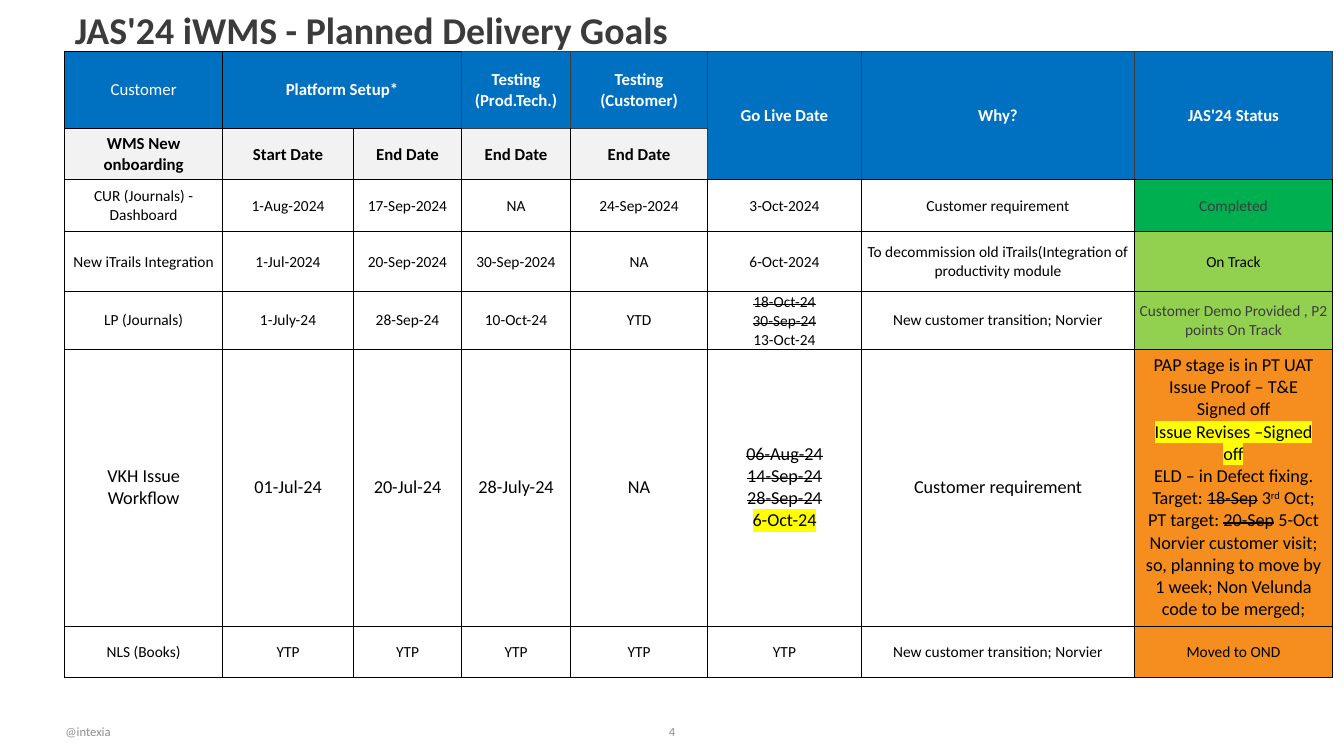
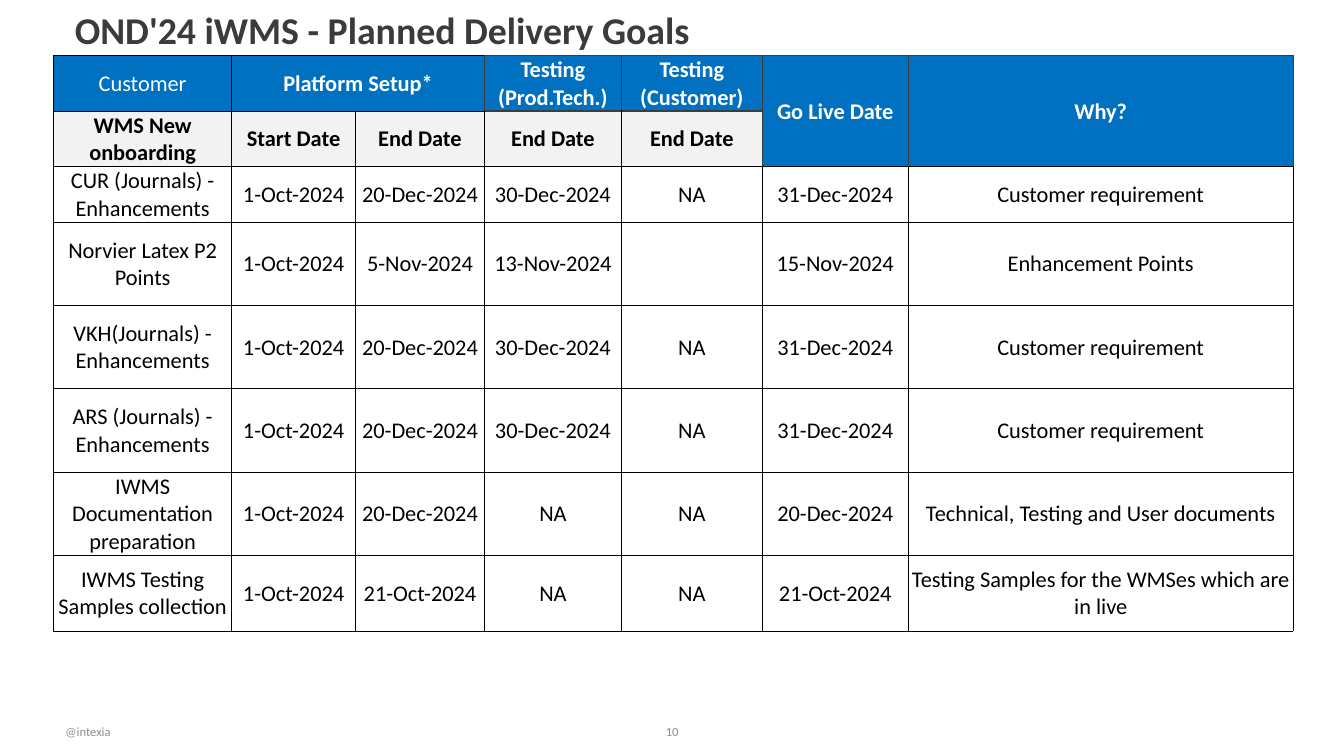
from lxml import etree
from pptx import Presentation
from pptx.dml.color import RGBColor as RGB
from pptx.enum.text import MSO_ANCHOR as Anchor, PP_ALIGN as Align
from pptx.oxml.ns import qn
from pptx.util import Cm, Pt

FONT = "Calibri"
HEX = {
    "title": "3B3B3B", "foot": "8D8E8E", "black": "000000", "white": "FFFFFF",
    "head": "0070C0", "sub": "F2F2F2", "gray": "3D3D3D", "done": "00B050",
    "track": "92D050", "late": "F68E1F", "mark": "FFFF00",
}
HEAD = ["Customer", "Platform Setup*", "", "Testing\n(Prod.Tech.)",
        "Testing\n(Customer)", "Go Live Date", "Why?"]
SUB = ["WMS New onboarding", "Start Date"] + ["End Date"] * 3

JAS_ROWS = [
    ["CUR (Journals) - Dashboard", "1-Aug-2024", "17-Sep-2024", "NA",
     "24-Sep-2024", "3-Oct-2024", "Customer requirement", "Completed"],
    ["New iTrails Integration", "1-Jul-2024", "20-Sep-2024", "30-Sep-2024",
     "NA", "6-Oct-2024",
     "To decommission old iTrails(Integration of productivity module",
     "On Track"],
    ["LP (Journals)", "1-July-24", "28-Sep-24", "10-Oct-24", "YTD",
     [[("18-Oct-24", "strike")], [("30-Sep-24", "strike")], "13-Oct-24"],
     "New customer transition; Norvier",
     "Customer Demo Provided , P2 points On Track"],
    ["VKH Issue Workflow", "01-Jul-24", "20-Jul-24", "28-July-24", "NA",
     [[("06-Aug-24", "strike")], [("14-Sep-24", "strike")],
      [("28-Sep-24", "strike")], [("6-Oct-24", "mark")]],
     "Customer requirement",
     ["PAP stage is in PT UAT", "Issue Proof – T&E Signed off",
      [("Issue Revises –Signed off", "mark")],
      [("ELD – in Defect fixing. Target: ", ""), ("18-Sep", "strike"),
       (" 3", ""), ("rd", "super"), (" Oct; PT target: ", ""),
       ("20-Sep", "strike"), (" 5-Oct", "")],
      "Norvier customer visit; so, planning to move by 1 week; "
      "Non Velunda code to be merged;"]],
    ["NLS (Books)"] + ["YTP"] * 5
    + ["New customer transition; Norvier", "Moved to OND"],
]
JAS_LOOK = [("done", "gray"), ("track", "black"), ("track", "gray"),
            ("late", "black"), ("late", "black")]

START, END, TEST, LIVE = "1-Oct-2024", "20-Dec-2024", "30-Dec-2024", "31-Dec-2024"
NEED = "Customer requirement"
OND_ROWS = [
    ["CUR (Journals) - Enhancements", START, END, TEST, "NA", LIVE, NEED],
    ["Norvier Latex P2 Points", START, "5-Nov-2024", "13-Nov-2024", "",
     "15-Nov-2024", "Enhancement Points"],
    ["VKH(Journals) - Enhancements", START, END, TEST, "NA", LIVE, NEED],
    ["ARS (Journals) - Enhancements", START, END, TEST, "NA", LIVE, NEED],
    ["IWMS Documentation preparation", START, END, "NA", "NA", END,
     "Technical, Testing and User documents"],
    ["IWMS Testing Samples collection", START, "21-Oct-2024", "NA", "NA",
     "21-Oct-2024", "Testing Samples for the WMSes which are in live"],
]


def color(name):
    return RGB.from_string(HEX[name])


def style(para, size, ink, bold=False, align=Align.LEFT):
    para.alignment = align
    font = para.font
    font.name, font.size, font.bold = FONT, Pt(size), bold
    font.color.rgb = color(ink)


def add_run(para, text, mark=""):
    run = para.add_run()
    run.text = text
    props = run.font._element
    if mark == "strike":
        props.set("strike", "sngStrike")
    elif mark == "super":
        props.set("baseline", "30000")
    elif mark == "mark":
        light = etree.SubElement(props, qn("a:highlight"))
        etree.SubElement(light, qn("a:srgbClr"), val=HEX["mark"])


def edge(cell, ink="black", width=0.5, sides="LRTB"):
    props = cell._tc.get_or_add_tcPr()
    for side in sides:
        line = etree.SubElement(props, qn("a:ln" + side), w=str(Pt(width)))
        fill = etree.SubElement(line, qn("a:solidFill"))
        etree.SubElement(fill, qn("a:srgbClr"), val=HEX[ink])


def fill_cell(cell, text, size, ink="black", bold=False, back=None, tight=True):
    """Write paragraphs, each a string or a list of (text, mark) runs."""
    if back:
        cell.fill.solid()
        cell.fill.fore_color.rgb = color(back)
    else:
        cell.fill.background()
    cell.vertical_anchor = Anchor.MIDDLE
    if tight:
        cell.margin_left = cell.margin_right = cell.margin_top = Cm(0.02)
        cell.margin_bottom = 0
    frame = cell.text_frame
    for i, part in enumerate(text.split("\n") if isinstance(text, str) else text):
        para = frame.add_paragraph() if i else frame.paragraphs[0]
        style(para, size, ink, bold, Align.CENTER)
        for run in [(part, "")] if isinstance(part, str) else part:
            if run[0]:
                add_run(para, *run)


def add_head(table, heads, size):
    for col, text in enumerate(heads):
        top, low = table.cell(0, col), table.cell(1, col)
        if col < 3:
            edge(top)
        elif col < 5:
            edge(top, "gray", 1)
        else:
            edge(top, "gray", 1, "LRT")
            edge(top, sides="B")
        edge(low)
        fill_cell(top, text, size, "white", col > 0, "head")
        if col < len(SUB):
            fill_cell(low, SUB[col], size, bold=True, back="sub")
        else:
            fill_cell(low, "", size, back="head")
            top.merge(low)
    table.cell(0, 1).merge(table.cell(0, 2))


def add_grid(slide, left, top, widths, heights, heads, size):
    table = slide.shapes.add_table(
        len(heights), len(widths), Cm(left), Cm(top),
        Cm(sum(widths)), Cm(sum(heights))).table
    table.first_row = table.horz_banding = False
    for col, width in zip(table.columns, widths):
        col.width = Cm(width)
    for row, height in zip(table.rows, heights):
        row.height = Cm(height)
    add_head(table, heads, size)
    return table


def add_body(table, rows, sizes, looks=None):
    """Fill rows under the head; looks gives fill and ink of the last column."""
    for r, (row, size) in enumerate(zip(rows, sizes)):
        for c, text in enumerate(row):
            cell = table.cell(r + 2, c)
            last = looks and c == len(row) - 1
            back, ink = looks[r] if last else (None, "black")
            edge(cell)
            fill_cell(cell, text, size, ink, back=back, tight=size != 13)


def add_note(slide, text, left, width, align=Align.LEFT):
    frame = slide.shapes.add_textbox(
        Cm(left), Cm(17.93), Cm(width), Cm(1.02)).text_frame
    frame.word_wrap = True
    frame.vertical_anchor = Anchor.MIDDLE
    frame.text = text
    style(frame.paragraphs[0], 9, "foot", align=align)


def add_page(deck, term, number):
    slide = deck.slides.add_slide(deck.slide_layouts[5])
    title = slide.shapes.title
    title.left, title.top = Cm(1.63), 0
    title.width, title.height = Cm(30.6), Cm(1.6)
    frame = title.text_frame
    frame.text = f"{term} iWMS - Planned Delivery Goals"
    frame.vertical_anchor = Anchor.MIDDLE
    para = frame.paragraphs[0]
    para.line_spacing = 0.9
    style(para, 27, "title", True)
    add_note(slide, "@intexia", 1.4, 2.95)
    add_note(slide, str(number), 16.33, 1.22, Align.CENTER)
    return slide


def main():
    deck = Presentation()
    deck.slide_width, deck.slide_height = Cm(33.87), Cm(19.05)

    jas = add_grid(
        add_page(deck, "JAS'24", 4), 1.63, 1.3,
        [3.98, 3.3, 2.72, 2.75, 3.45, 3.88, 6.88, 4.99],
        [1.93, 1.3, 1.3, 1.52, 1.44, 6.98, 1.3],
        HEAD + ["JAS'24 Status"], 12)
    add_body(jas, JAS_ROWS, [11, 11, 11, 13, 11], JAS_LOOK)

    ond = add_grid(
        add_page(deck, "OND'24", 10), 1.35, 1.4,
        [4.49, 3.12, 3.25, 3.45, 3.55, 3.68, 9.7],
        [1.4] * 3 + [2.1] * 4 + [1.9], HEAD, 16)
    add_body(ond, OND_ROWS, [16] * len(OND_ROWS))

    deck.save("out.pptx")


if __name__ == "__main__":
    main()
